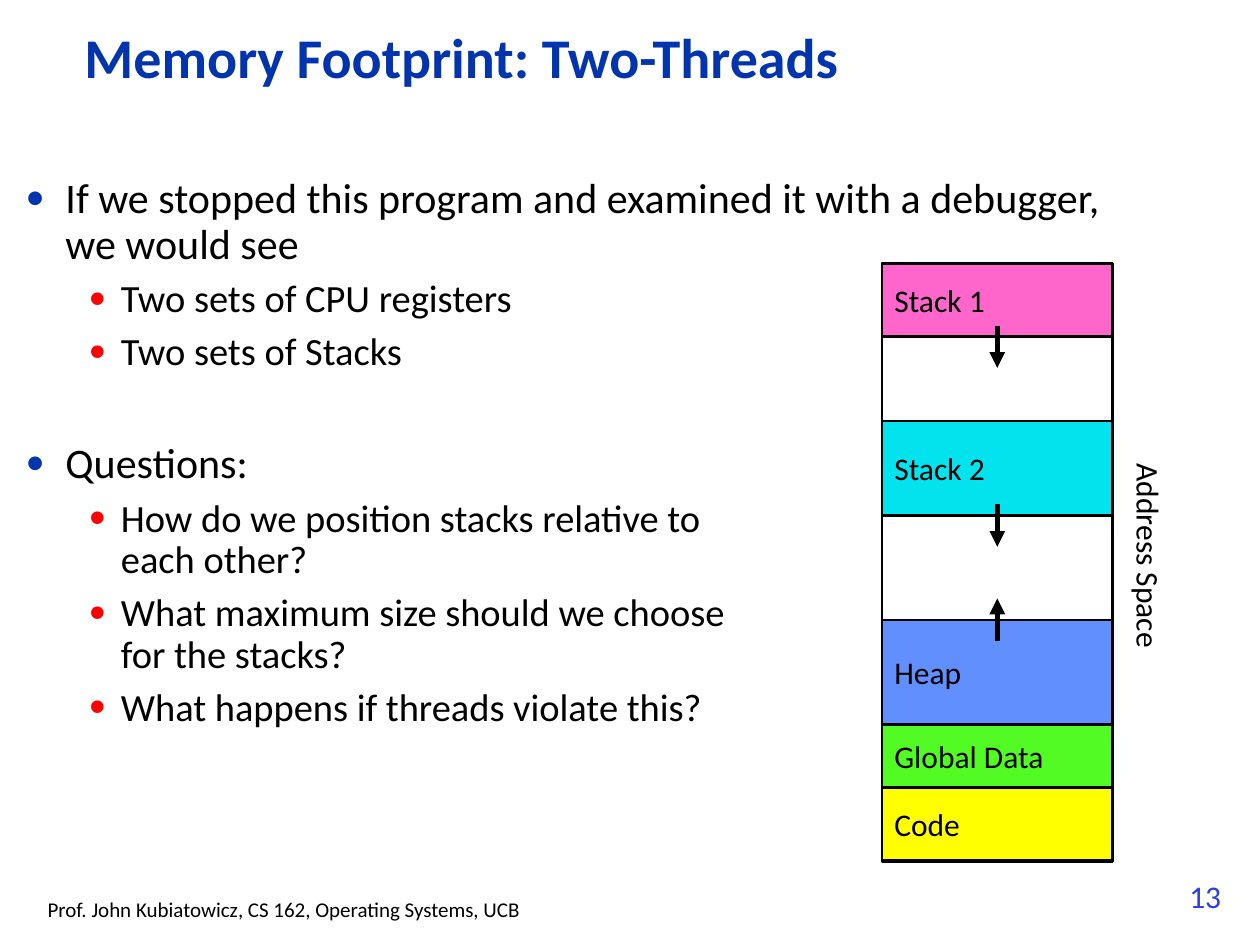
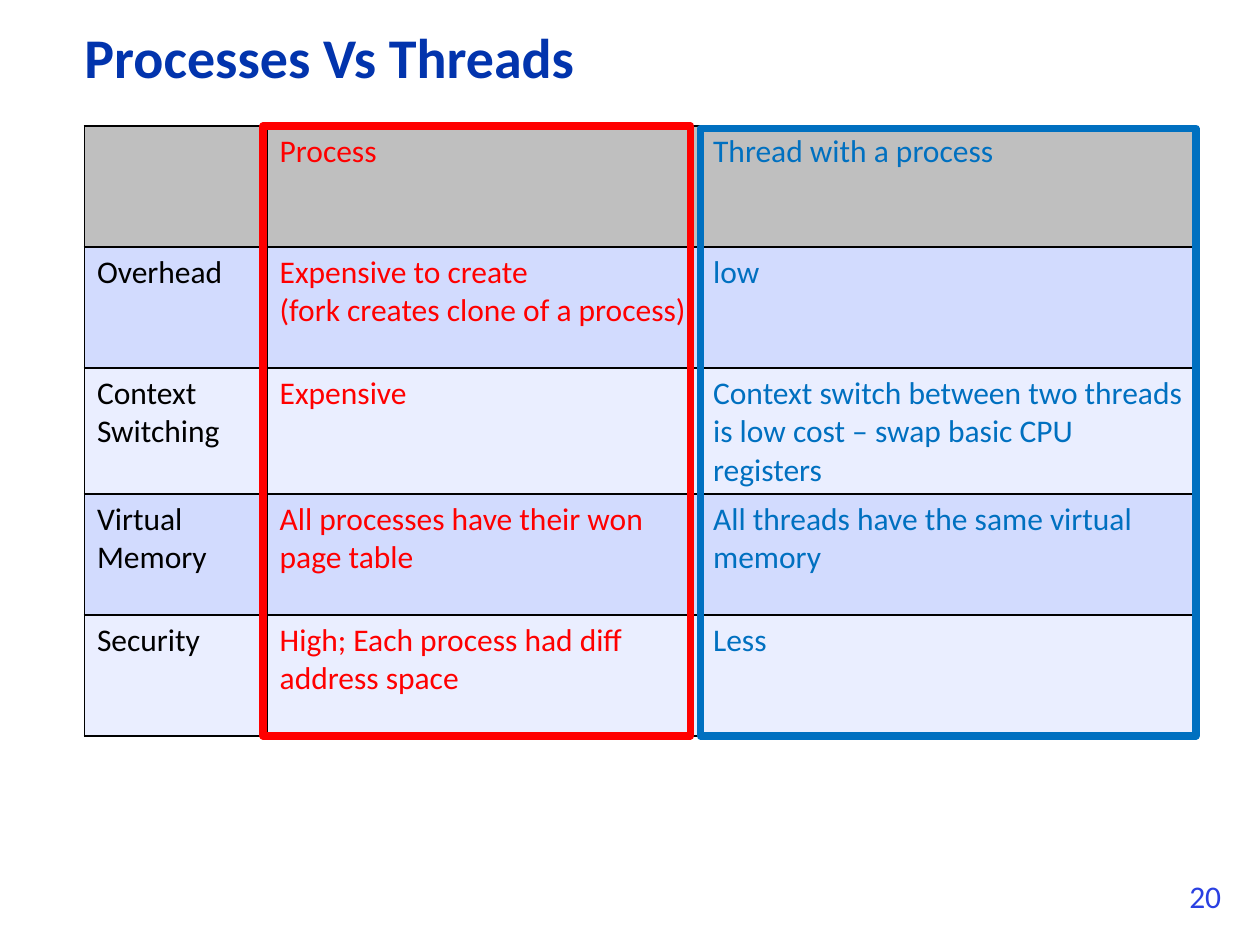
from collections import namedtuple
from dataclasses import dataclass

from lxml import etree
from pptx import Presentation
from pptx import util as u
from pptx.dml.color import RGBColor
from pptx.enum import shapes, text
from pptx.oxml import ns


@dataclass(frozen=True)
class Theme:
    font: str = "Calibri"
    black: str = "000000"
    white: str = "FFFFFF"
    navy: str = "0234AD"
    number: str = "2A40E2"
    red: str = "FF0000"
    blue: str = "0070C0"
    pink: str = "FF66CC"
    cyan: str = "02E3EE"
    periwinkle: str = "618FFD"
    green: str = "53FB25"
    yellow: str = "FFFF00"
    header: str = "BFBFBF"
    bands: tuple = ("D2DBFE", "EAEEFF")
    title_size: int = 32
    body_sizes: tuple = (24, 22)
    label_size: int = 18
    footer_size: int = 12


THEME = Theme()
Box = namedtuple("Box", "left top width height")
Section = namedtuple("Section", "label height color arrow")

TITLE_BOX = Box(0.57, 0.19, 7.83, 0.58)
NUMBER_BOX = Box(9.34, 6.91, 0.51, 0.4)
INDENTS = ((0.31, -0.31), (0.75, -0.25))
BULLET_COLORS = (THEME.navy, THEME.red)
LIST_GAP, GROUP_GAP = 6.5, 39

BULLETS = [
    (0, LIST_GAP, "If we stopped this program and examined it with a debugger, we would see"),
    (1, LIST_GAP, "Two sets of CPU registers"),
    (1, LIST_GAP, "Two sets of Stacks"),
    (0, GROUP_GAP, "Questions:"),
    (1, LIST_GAP, "How do we position stacks relative to\veach other?"),
    (1, LIST_GAP, "What maximum size should we choose\vfor the stacks?"),
    (1, LIST_GAP, "What happens if threads violate this?"),
]

SECTIONS = [
    Section("Stack 1", 0.58, THEME.pink, (0.5, 0.83)),
    Section(None, 0.67, None, None),
    Section("Stack 2", 0.75, THEME.cyan, (0.66, 1.0)),
    Section(None, 0.83, None, None),
    Section("Heap", 0.83, THEME.periwinkle, (0.17, -0.17)),
    Section("Global Data", 0.5, THEME.green, None),
    Section("Code", 0.58, THEME.yellow, None),
]

COMPARISON = [
    ("", "Process", "Thread with a process"),
    ("Overhead", "Expensive to create\n(fork creates clone of a process)", "low"),
    ("Context Switching", "Expensive",
     "Context switch between two threads is low cost – swap basic CPU registers"),
    ("Virtual Memory", "All processes have their won page table",
     "All threads have the same virtual memory"),
    ("Security", "High; Each process had diff address space", "Less"),
]
COLUMN_WIDTHS = (1.45, 3.44, 3.93)
COLUMN_COLORS = (THEME.black, THEME.red, THEME.blue)
ROW_HEIGHT = 0.96


def apply(target, **values):
    for name, value in values.items():
        setattr(target, name, value)


def inches(box):
    return [u.Inches(value) for value in box]


def add_xml(parent, tag, **attributes):
    return etree.SubElement(parent, ns.qn(tag), attributes)


def place(shape, box):
    apply(shape, **dict(zip(Box._fields, inches(box))))


def style_runs(paragraph, size, color, bold=False):
    for run in paragraph.runs:
        apply(run.font, name=THEME.font, size=u.Pt(size), bold=bold)
        run.font.color.rgb = RGBColor.from_string(color)


def write(frame, content, size, color, **paragraph_format):
    frame.text = content
    for paragraph in frame.paragraphs:
        apply(paragraph, **paragraph_format)
        style_runs(paragraph, size, color)


def add_label(parent, box, content, size, color):
    label = parent.shapes.add_textbox(*inches(box))
    label.text_frame.word_wrap = False
    write(label.text_frame, content, size, color)
    return label


def add_rectangle(parent, box, fill, line, width):
    rectangle = parent.shapes.add_shape(shapes.MSO_SHAPE.RECTANGLE, *inches(box))
    rectangle.shadow.inherit = False
    if fill:
        rectangle.fill.solid()
        rectangle.fill.fore_color.rgb = RGBColor.from_string(fill)
    else:
        rectangle.fill.background()
    rectangle.line.color.rgb = RGBColor.from_string(line)
    rectangle.line.width = u.Pt(width)
    return rectangle


def add_arrow(parent, x, start, end):
    arrow = parent.shapes.add_connector(
        shapes.MSO_CONNECTOR.STRAIGHT, *inches((x, start, x, end)))
    arrow.line.color.rgb = RGBColor.from_string(THEME.black)
    arrow.line.width = u.Pt(3)
    add_xml(arrow.line._get_or_add_ln(), "a:tailEnd", type="triangle")
    add_xml(arrow._element.spPr, "a:effectLst")


def add_base_slide(presentation, layout_index, title, number):
    slide = presentation.slides.add_slide(presentation.slide_layouts[layout_index])
    place(slide.shapes.title, TITLE_BOX)
    frame = slide.shapes.title.text_frame
    apply(frame, vertical_anchor=text.MSO_ANCHOR.MIDDLE, auto_size=text.MSO_AUTO_SIZE.NONE)
    frame.text = title
    paragraph = frame.paragraphs[0]
    apply(paragraph, alignment=text.PP_ALIGN.LEFT, line_spacing=0.9)
    style_runs(paragraph, THEME.title_size, THEME.navy, bold=True)
    add_label(slide, NUMBER_BOX, number, THEME.label_size, THEME.number)
    return slide


def fill_bullets(body, box, bullets):
    place(body, box)
    frame = body.text_frame
    frame.auto_size = text.MSO_AUTO_SIZE.NONE
    for index, (level, gap, content) in enumerate(bullets):
        paragraph = frame.add_paragraph() if index else frame.paragraphs[0]
        paragraph.text = content
        apply(paragraph, level=level, line_spacing=0.9, space_before=u.Pt(gap if index else 0))
        properties = paragraph._p.get_or_add_pPr()
        margin, indent = INDENTS[level]
        properties.set("marL", str(u.Inches(margin)))
        properties.set("indent", str(u.Inches(indent)))
        add_xml(add_xml(properties, "a:buClr"), "a:srgbClr", val=BULLET_COLORS[level])
        add_xml(properties, "a:buSzPct", val="120000")
        add_xml(properties, "a:buFont", typeface="Arial")
        add_xml(properties, "a:buChar", char="•")
        style_runs(paragraph, THEME.body_sizes[level], THEME.black)


def add_memory_map(slide, box, sections):
    group = slide.shapes.add_group_shape()
    add_rectangle(group, box, THEME.white, THEME.black, 1.5)
    top = box.top
    arrows = []
    for section in sections:
        if section.label:
            block = add_rectangle(group, Box(box.left, top, box.width, section.height),
                                  section.color, THEME.black, 1.5)
            apply(block.text_frame, word_wrap=True, vertical_anchor=text.MSO_ANCHOR.MIDDLE)
            write(block.text_frame, section.label, THEME.label_size, THEME.black,
                  alignment=text.PP_ALIGN.LEFT)
        if section.arrow:
            arrows.append([top + offset for offset in section.arrow])
        top += section.height
    for start, end in arrows:
        add_arrow(group, box.left + box.width / 2, start, end)
    label_box = Box(box.left + 1.28, box.top + 2.13, 1.68, 0.4)
    label = add_label(group, label_box, "Address Space", THEME.label_size, THEME.black)
    label.rotation = 90


def add_borders(cell):
    properties = cell._tc.get_or_add_tcPr()
    for side in ("a:lnL", "a:lnR", "a:lnT", "a:lnB"):
        line = add_xml(properties, side, w=str(u.Pt(1)))
        add_xml(add_xml(line, "a:solidFill"), "a:srgbClr", val=THEME.black)


def add_comparison(slide, box, rows):
    table = slide.shapes.add_table(len(rows), len(COLUMN_WIDTHS), *inches(box)).table
    apply(table, first_row=False, horz_banding=False)
    for column, width in zip(table.columns, COLUMN_WIDTHS):
        column.width = u.Inches(width)
    for row_index, row in enumerate(rows):
        table.rows[row_index].height = u.Inches(ROW_HEIGHT)
        fill = THEME.bands[(row_index - 1) % 2] if row_index else THEME.header
        for column_index, content in enumerate(row):
            cell = table.cell(row_index, column_index)
            add_borders(cell)
            cell.fill.solid()
            cell.fill.fore_color.rgb = RGBColor.from_string(fill)
            write(cell.text_frame, content, THEME.label_size, COLUMN_COLORS[column_index])


def add_column_frames(slide, box):
    process = Box(box.left + 1.42, box.top, 3.39, box.height)
    thread = Box(box.left + 4.89, box.top + 0.02, 3.93, box.height - 0.02)
    for frame, color in ((process, THEME.red), (thread, THEME.blue)):
        add_rectangle(slide, frame, None, color, 4.5)


def build_memory_slide(presentation):
    slide = add_base_slide(presentation, 1, "Memory Footprint: Two-Threads", "13")
    fill_bullets(slide.placeholders[1], Box(0.11, 1.36, 8.92, 5.58), BULLETS)
    add_memory_map(slide, Box(7, 2.09, 1.83, 4.75), SECTIONS)
    add_label(slide, Box(0.28, 7.07, 4, 0.3),
              "Prof. John Kubiatowicz, CS 162, Operating Systems, UCB",
              THEME.footer_size, THEME.black)


def build_comparison_slide(presentation):
    slide = add_base_slide(presentation, 5, "Processes Vs Threads", "20")
    box = Box(0.67, 1, 8.82, 4.84)
    add_comparison(slide, box, COMPARISON)
    add_column_frames(slide, box)


def main():
    presentation = Presentation()
    apply(presentation, slide_width=u.Inches(10), slide_height=u.Inches(7.5))
    build_memory_slide(presentation)
    build_comparison_slide(presentation)
    presentation.save("out.pptx")


if __name__ == "__main__":
    main()
